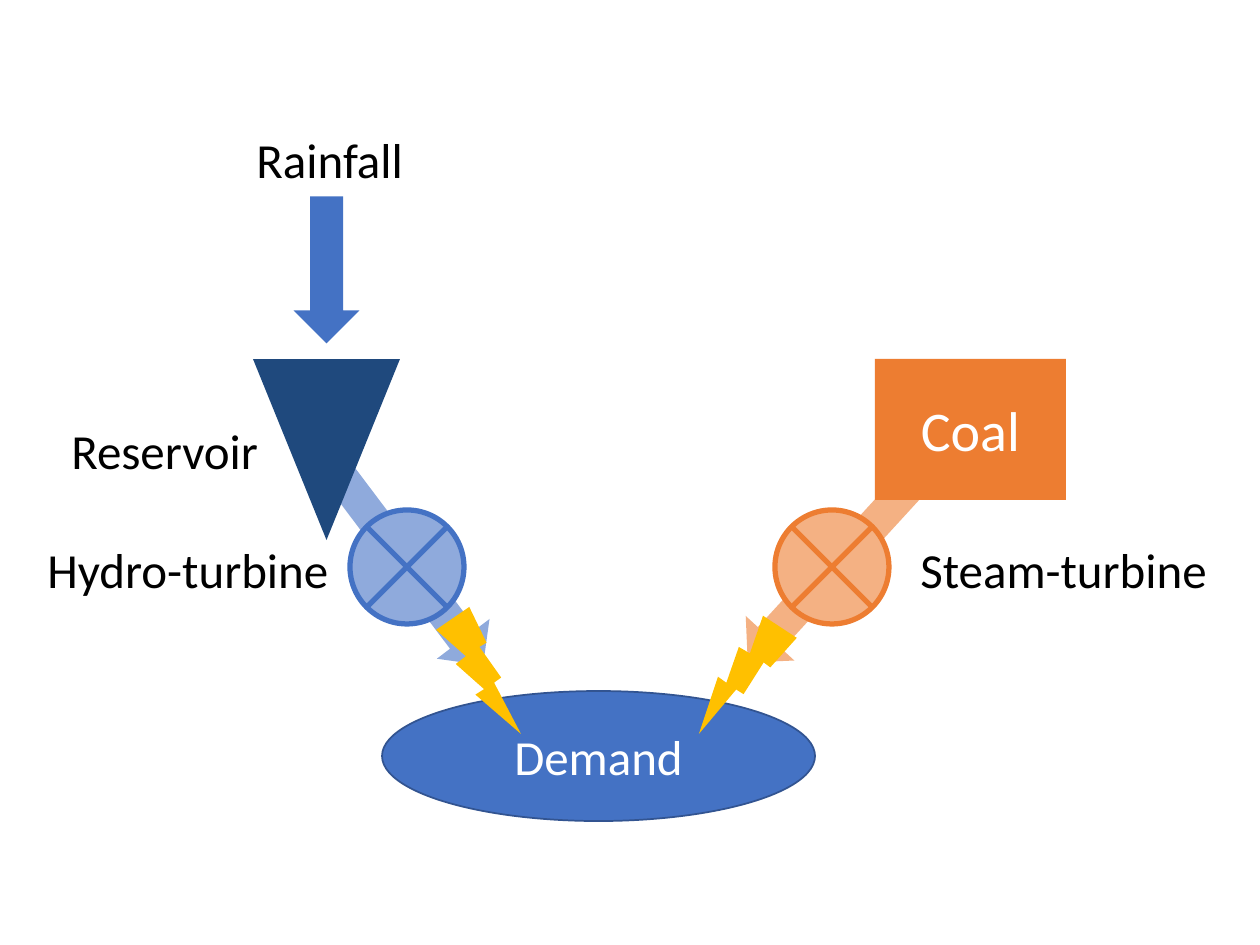
"""Build a slide showing hydro and coal power meeting demand."""
from dataclasses import dataclass
from typing import Optional

from pptx import Presentation
from pptx.dml.color import RGBColor
from pptx.enum.shapes import MSO_SHAPE as Preset
from pptx.enum.text import MSO_ANCHOR as Anchor, MSO_AUTO_SIZE as AutoSize, PP_ALIGN as Align
from pptx.util import Emu, Pt

PX_PER_INCH = 126
FONT = "Calibri"
BLACK = RGBColor(0x00, 0x00, 0x00)
WHITE = RGBColor(0xFF, 0xFF, 0xFF)
BLUE = RGBColor(0x44, 0x72, 0xC4)
LIGHT_BLUE = RGBColor(0x8F, 0xAA, 0xDC)
EDGE_BLUE = RGBColor(0x32, 0x54, 0x91)
NAVY = RGBColor(0x1F, 0x49, 0x7D)
ORANGE = RGBColor(0xED, 0x7D, 0x31)
LIGHT_ORANGE = RGBColor(0xF4, 0xB1, 0x83)
GOLD = RGBColor(0xFF, 0xC0, 0x00)


@dataclass(frozen=True)
class Box:
    left: int
    top: int
    width: int
    height: int

    def emu(self) -> list[Emu]:
        """Return the four lengths in EMU."""
        return [px(n) for n in (self.left, self.top, self.width, self.height)]


@dataclass(frozen=True)
class Figure:
    preset: Preset
    box: Box
    fill: RGBColor
    rotation: float = 0
    line: Optional[RGBColor] = None
    line_width: int = 1
    text: str = ""
    size: int = 28


@dataclass(frozen=True)
class Label:
    text: str
    box: Box


def px(length: int) -> Emu:
    """Turn pixels into EMU."""
    return Emu(round(length * 914400 / PX_PER_INCH))


def write(frame, text: str, *, size: int = 28, color: RGBColor = BLACK, align: Align = Align.LEFT) -> None:
    """Write one formatted paragraph into a text frame."""
    para = frame.paragraphs[0]
    para.alignment = align
    span = para.add_run()
    span.text = text
    span.font.name = FONT
    span.font.size = Pt(size)
    span.font.color.rgb = color


def draw_figure(page, figure: Figure) -> None:
    """Draw a filled preset shape with its optional line and text."""
    shape = page.shapes.add_shape(figure.preset, *figure.box.emu())
    shape.shadow.inherit = False
    shape.rotation = figure.rotation
    shape.fill.solid()
    shape.fill.fore_color.rgb = figure.fill
    if figure.line is None:
        shape.line.fill.background()
    else:
        shape.line.color.rgb = figure.line
        shape.line.width = Pt(figure.line_width)
    if figure.text:
        shape.text_frame.vertical_anchor = Anchor.MIDDLE
        write(shape.text_frame, figure.text, size=figure.size, color=WHITE, align=Align.CENTER)


def draw_label(page, label: Label) -> None:
    """Draw an unwrapped text label."""
    frame = page.shapes.add_textbox(*label.box.emu()).text_frame
    frame.word_wrap = False
    frame.auto_size = AutoSize.SHAPE_TO_FIT_TEXT
    write(frame, label.text)


def flow(left: int, top: int, rotation: float, fill: RGBColor) -> Figure:
    """Describe an arrow from a source towards demand."""
    return Figure(Preset.RIGHT_ARROW, Box(left, top, 251, 66), fill, rotation)


def turbine(left: int, fill: RGBColor, line: RGBColor) -> Figure:
    """Describe a turbine symbol."""
    return Figure(Preset.FLOWCHART_SUMMING_JUNCTION, Box(left, 510, 114, 114), fill, line=line, line_width=3)


def bolt(left: int, rotation: float = 0) -> Figure:
    """Describe a bolt of electricity."""
    return Figure(Preset.LIGHTNING_BOLT, Box(left, 607, 85, 127), GOLD, rotation)


ITEMS = [
    flow(282, 532, 53, LIGHT_BLUE),
    Figure(Preset.ISOSCELES_TRIANGLE, Box(253, 359, 147, 181), NAVY, 180),
    turbine(350, LIGHT_BLUE, BLUE),
    Figure(Preset.OVAL, Box(382, 691, 433, 130), BLUE, line=EDGE_BLUE, text="Demand"),
    Figure(Preset.RIGHT_ARROW, Box(253, 237, 147, 66), BLUE, 90),
    Label("Rainfall", Box(244, 123, 174, 72)),
    Label("Reservoir", Box(59, 414, 214, 72)),
    Label("Hydro-turbine", Box(35, 533, 310, 72)),
    flow(707, 537, 132.5, LIGHT_ORANGE),
    Figure(Preset.RECTANGLE, Box(875, 359, 191, 141), ORANGE, text="Coal", size=32),
    Label("Steam-turbine", Box(908, 533, 315, 72)),
    turbine(775, LIGHT_ORANGE, ORANGE),
    bolt(436),
    bolt(699, 67.7),
]


def main() -> None:
    """Build and save the deck."""
    deck = Presentation()
    deck.slide_width, deck.slide_height = px(1260), px(945)
    page = deck.slides.add_slide(deck.slide_layouts[6])
    for item in ITEMS:
        if isinstance(item, Label):
            draw_label(page, item)
        else:
            draw_figure(page, item)
    deck.save("out.pptx")


if __name__ == "__main__":
    main()
